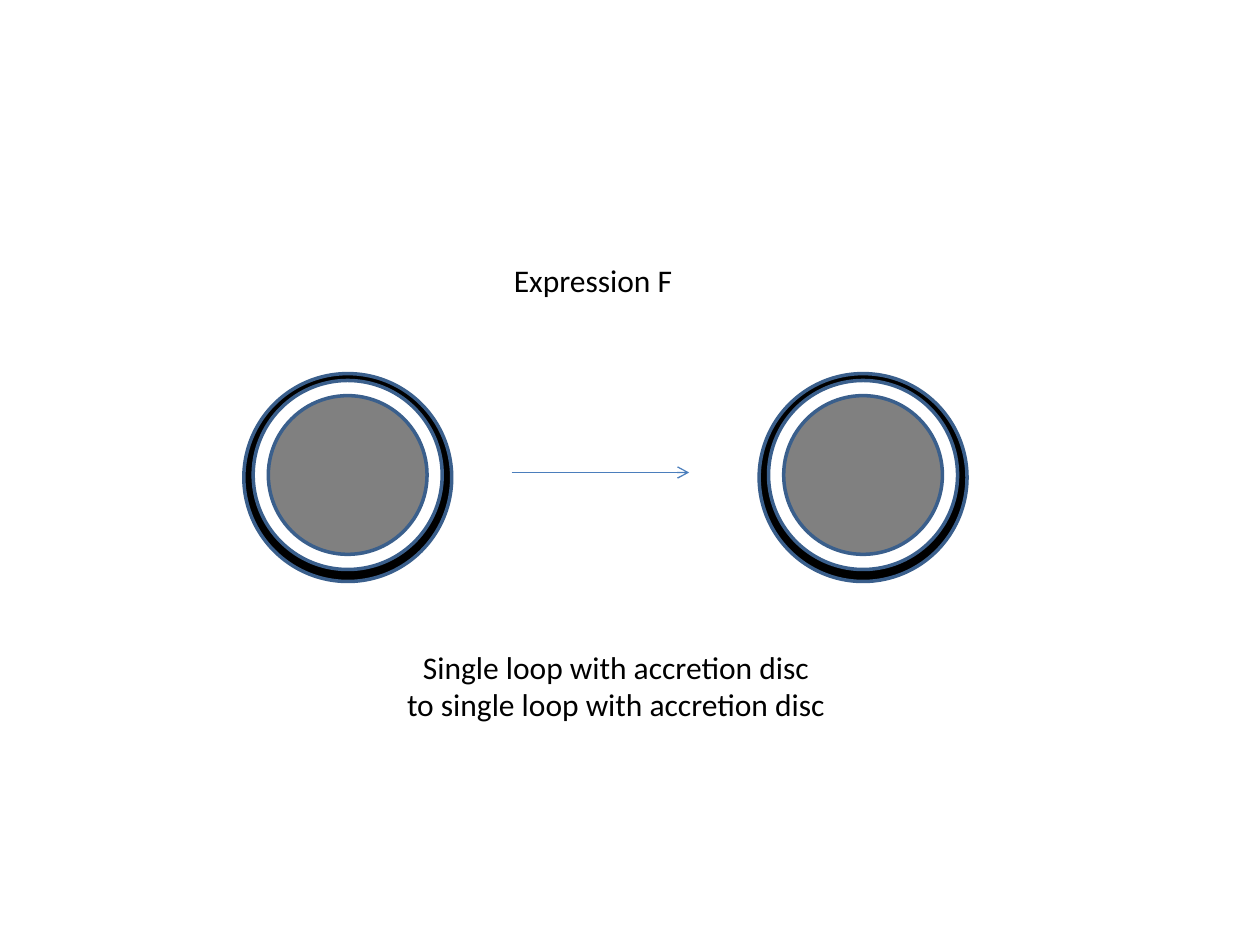
"""Builds the Expression F slide: a loop with an accretion disc leading to another."""
from pptx import Presentation
from pptx.dml.color import RGBColor
from pptx.enum.shapes import MSO_CONNECTOR as CONN, MSO_SHAPE as SHAPE
from pptx.enum.text import MSO_AUTO_SIZE as FIT, PP_ALIGN as ALIGN
from pptx.oxml.ns import qn
from pptx.util import Inches, Pt
from lxml.etree import SubElement

BLACK = RGBColor(0x00, 0x00, 0x00)
WHITE = RGBColor(0xFF, 0xFF, 0xFF)
GREY = RGBColor(0x80, 0x80, 0x80)
OUTLINE = RGBColor(0x3A, 0x5F, 0x8C)
ARROW = RGBColor(0x4B, 0x7E, 0xBC)

WIDTH, HEIGHT = 10, 7.5
MIDDLE = HEIGHT / 2
TITLE = ["Expression F"]
CAPTION = ["Single loop with accretion disc", "to single loop with accretion disc"]
LOOP_CENTRES = [2.76, 6.85]
RING = [(1.65, 3.79, BLACK), (1.5, 3.77, WHITE)]
DISC = (1.26, 3.77, GREY)
ARROW_ENDS = (4.06, 5.47)


def add_circle(shapes, x, size, y, color):
    sp = shapes.add_shape(SHAPE.OVAL, Inches(x - size / 2), Inches(y - size / 2),
                          Inches(size), Inches(size))
    sp.shadow.inherit = False
    sp.fill.solid()
    sp.fill.fore_color.rgb = color
    sp.line.color.rgb = OUTLINE
    sp.line.width = Pt(2)


def add_text(shapes, lines, left, top, width, height, align=ALIGN.LEFT, size=18, color=BLACK):
    tf = shapes.add_textbox(*map(Inches, (left, top, width, height))).text_frame
    tf.word_wrap = False
    tf.auto_size = FIT.SHAPE_TO_FIT_TEXT
    for i, line in enumerate(lines):
        p = tf.add_paragraph() if i else tf.paragraphs[0]
        p.alignment = align
        r = p.add_run()
        r.text = line
        r.font.name = "Calibri"
        r.font.size = Pt(size)
        r.font.color.rgb = color


def add_arrow(shapes, start, end, y):
    line = shapes.add_connector(CONN.STRAIGHT, *map(Inches, (start, y, end, y)))
    line.line.color.rgb = ARROW
    line.line.width = Pt(0.75)
    SubElement(line.line._get_or_add_ln(), qn("a:tailEnd"), type="arrow")
    SubElement(line._element.spPr, qn("a:effectLst"))


def main():
    prs = Presentation()
    prs.slide_width, prs.slide_height = Inches(WIDTH), Inches(HEIGHT)
    slide = prs.slides.add_slide(prs.slide_layouts[6])
    slide.background.fill.solid()
    slide.background.fill.fore_color.rgb = WHITE
    shapes = slide.shapes
    for x in LOOP_CENTRES:
        group = shapes.add_group_shape()
        for circle in RING:
            add_circle(group.shapes, x, *circle)
    add_arrow(shapes, *ARROW_ENDS, MIDDLE)
    add_text(shapes, CAPTION, 3.11, 5.09, 3.56, 0.71, align=ALIGN.CENTER)
    add_text(shapes, TITLE, 3.98, 2.02, 1.47, 0.4)
    for x in LOOP_CENTRES:
        add_circle(shapes, x, *DISC)
    prs.save("out.pptx")


if __name__ == "__main__":
    main()
